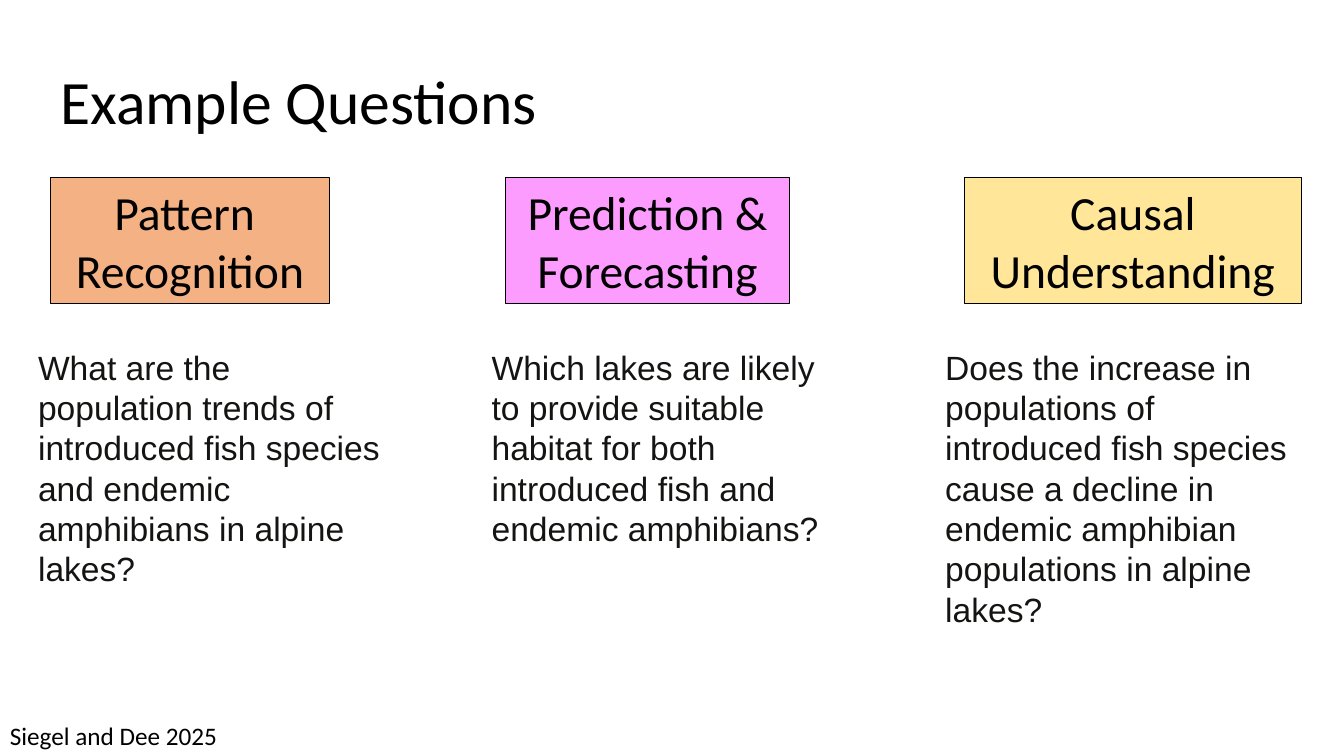
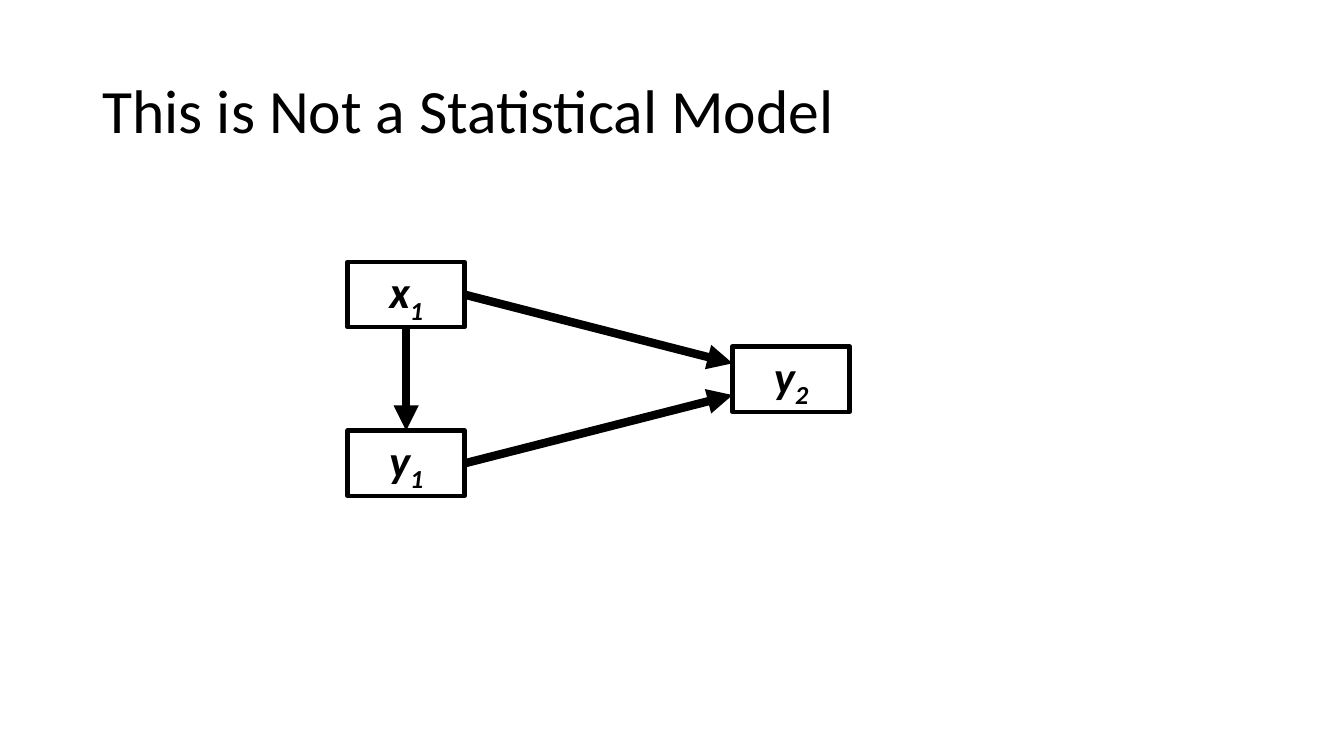
from dataclasses import dataclass
from lxml.etree import SubElement as Sub
from pptx import Presentation
from pptx.dml.color import RGBColor as Rgb
from pptx.enum.shapes import MSO_CONNECTOR as Conn, MSO_SHAPE as Kind
from pptx.enum.text import MSO_ANCHOR as Anchor, PP_ALIGN as Align
from pptx.oxml.ns import qn
from pptx.util import Cm, Pt


@dataclass(frozen=True)
class Theme:
    head: str = "Calibri"
    body: str = "Arial"
    ink: str = "000000"
    text: str = "141413"
    peach: str = "F4B183"
    pink: str = "FC9CFF"
    gold: str = "FFE699"
    title: int = 44
    label: int = 34
    node: int = 32
    prose: int = 24
    cite: int = 18
    thin: float = 0.75
    frame: int = 3
    arrow: int = 6


T = Theme()

TOPICS = [
    (T.peach, 0.56, 7.04, ["Pattern ", "Recognition"],
     "What are the population trends of introduced fish species and "
     "endemic amphibians in alpine lakes?"),
    (T.pink, 0.61, 7.14, ["Prediction &", "Forecasting"],
     "Which lakes are likely to provide suitable habitat for both "
     "introduced fish and endemic amphibians?"),
    (T.gold, 0.74, 8.48, ["Causal", "Understanding"],
     "Does the increase in populations of introduced fish species cause "
     "a decline in endemic amphibian populations in alpine lakes?"),
]


def cms(*vals):
    return [Cm(val) for val in vals]


def style(para, size, face=T.head, color=T.ink, align=Align.LEFT):
    para.alignment = align
    font = para.font
    font.name, font.size = face, Pt(size)
    font.color.rgb = Rgb.from_string(color)


def start(deck, text, left, top):
    slide = deck.slides.add_slide(deck.slide_layouts[5])
    title = slide.shapes.title
    title.left, title.top, title.width, title.height = cms(left, top, 29.21, 3.68)
    frame = title.text_frame
    frame.text = text
    frame.vertical_anchor = Anchor.MIDDLE
    para = frame.paragraphs[0]
    style(para, T.title)
    para.line_spacing = 0.9
    return slide


def block(slide, box, weight, fill=None):
    rect = slide.shapes.add_shape(Kind.RECTANGLE, *cms(*box))
    rect.shadow.inherit = False
    if fill:
        rect.fill.solid()
        rect.fill.fore_color.rgb = Rgb.from_string(fill)
    else:
        rect.fill.background()
    rect.line.color.rgb = Rgb.from_string(T.ink)
    rect.line.width = Pt(weight)
    return rect


def note(slide, box, text, wrap=True, **look):
    frame = slide.shapes.add_textbox(*cms(*box)).text_frame
    frame.word_wrap = wrap
    frame.text = text
    style(frame.paragraphs[0], **look)


def topic(slide, left, top, width, data):
    fill, inset, wide, lines, text = data
    frame = block(slide, (left + inset, top, wide, 3.18), T.thin, fill).text_frame
    frame.word_wrap = False
    frame.text = "\n".join(lines)
    for para in frame.paragraphs:
        style(para, T.label, align=Align.CENTER)
    note(slide, (left, top + 4.14, width, 7.44), text,
         size=T.prose, face=T.body, color=T.text)


def node(slide, left, top, name, index):
    rect = block(slide, (left, top, 2.95, 1.65), T.frame)
    rect.text_frame.vertical_anchor = Anchor.MIDDLE
    para = rect.text_frame.paragraphs[0]
    style(para, T.node, align=Align.CENTER)
    para.font.bold = para.font.italic = True
    para.add_run().text = name
    sub = para.add_run()
    sub.text = index
    sub.font._element.set("baseline", "-25000")
    return rect


def arrow(slide, src, side, end):
    line = slide.shapes.add_connector(Conn.STRAIGHT, src.left, src.top, *end)
    line.begin_connect(src, side)
    line.line.color.rgb = Rgb.from_string(T.ink)
    line.line.width = Pt(T.arrow)
    props = line._element.spPr
    Sub(props.find(qn("a:ln")), qn("a:tailEnd"), type="triangle")
    Sub(props, qn("a:effectLst"))
    return line


def graph(slide, left, top):
    cause = node(slide, left, top, "x", "1")
    middle = node(slide, left, top + 4.25, "y", "1")
    effect = node(slide, left + 9.7, top + 2.13, "y", "2")
    centre = effect.top + effect.height // 2
    for src, shift in ((cause, -0.4), (middle, 0.4)):
        arrow(slide, src, 3, (effect.left, centre + Cm(shift)))
    arrow(slide, cause, 2, (middle.left, middle.top)).end_connect(middle, 0)


def questions(deck):
    slide = start(deck, "Example Questions", 1.27, 0.79)
    for col, data in enumerate(TOPICS):
        topic(slide, 0.71 + col * 11.43, 4.47, 9.22, data)
    note(slide, (0, 18.03, 5.79, 1.02), "Siegel and Dee 2025",
         wrap=False, size=T.cite)


def model(deck):
    slide = start(deck, "This is Not a Statistical Model", 2.33, 1.02)
    graph(slide, 8.76, 6.6)


def main():
    deck = Presentation()
    deck.slide_width, deck.slide_height = cms(33.87, 19.05)
    questions(deck)
    model(deck)
    deck.save("out.pptx")


if __name__ == "__main__":
    main()
